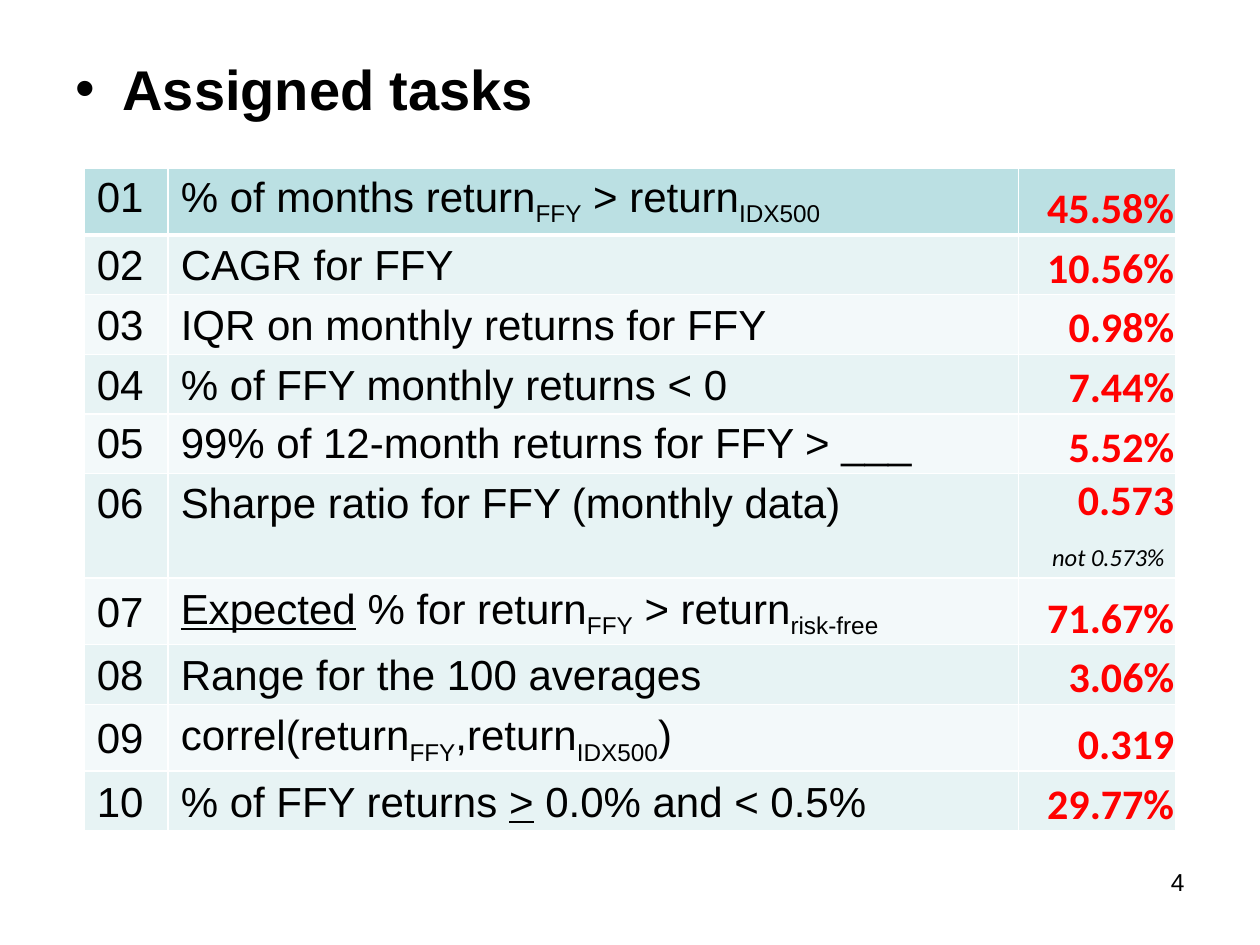
from lxml import etree
from pptx import Presentation
from pptx.dml.color import RGBColor
from pptx.enum.text import MSO_ANCHOR, PP_ALIGN
from pptx.oxml.ns import qn
from pptx.util import Cm, Pt

TOP, MIDDLE, BOTTOM = MSO_ANCHOR.TOP, MSO_ANCHOR.MIDDLE, MSO_ANCHOR.BOTTOM
RIGHT = PP_ALIGN.RIGHT

BLACK, WHITE, RED = "000000", "FFFFFF", "FF0000"
HEADER, BANDS = "BBE0E3", ("E7F3F4", "F3F9FA")
COLUMNS = (1.69, 17.14, 3.17)
ROW_HEIGHT, TALL_ROW_HEIGHT = 1.04, 2.1
TOP_ROWS = (0, 4, 5)
NOTE_ROW = 5

# Task text as (text, style) spans: "" plain, "sub" subscript, "u" underlined
FUND, INDEX = ("FFY", "sub"), ("IDX500", "sub")
TASKS = [
    ([("% of months return", ""), FUND, (" > return", ""), INDEX], "45.58%"),
    ([("CAGR for FFY", "")], "10.56%"),
    ([("IQR on monthly returns for FFY", "")], "0.98%"),
    ([("% of FFY monthly returns < 0", "")], "7.44%"),
    ([("99% of 12-month returns for FFY > ___", "")], "5.52%"),
    ([("Sharpe ratio for FFY (monthly data)", "")], "0.573"),
    ([("Expected", "u"), (" % for return", ""), FUND, (" > return", ""),
      ("risk-free", "sub")], "71.67%"),
    ([("Range for the 100 averages", "")], "3.06%"),
    ([("correl(return", ""), FUND, (",return", ""), INDEX, (")", "")], "0.319"),
    ([("% of FFY returns ", ""), (">", "u"), (" 0.0% and < 0.5%", "")], "29.77%"),
]


def color(code):
    return RGBColor.from_string(code)


def set_font(font, name, size, code, bold=False):
    font.name, font.size, font.bold = name, Pt(size), bold
    font.color.rgb = color(code)


def add_spans(para, spans):
    for text, style in spans:
        span = para.add_run()
        span.text = text
        if style == "u":
            span.font.underline = True
        elif style == "sub":
            span.font._element.set("baseline", "-25000")


def add_box(page, left, top, width, height):
    box = page.shapes.add_textbox(Cm(left), Cm(top), Cm(width), Cm(height))
    box.text_frame.word_wrap = True
    return box


def add_heading(page, left, top, width, height):
    box = add_box(page, left, top, width, height)
    box.fill.solid()
    box.fill.fore_color.rgb = color(WHITE)
    para = box.text_frame.paragraphs[0]
    para.text = "Assigned tasks"
    para.space_before = Pt(6.4)
    set_font(para.font, "Arial", 32, BLACK, True)
    # Bullet with hanging indent
    properties = para._p.get_or_add_pPr()
    properties.set("marL", str(Cm(0.95)))
    properties.set("indent", str(-Cm(0.95)))
    run_defaults = properties.find(qn("a:defRPr"))
    run_defaults.addprevious(etree.Element(qn("a:buFont"), typeface="Arial"))
    run_defaults.addprevious(etree.Element(qn("a:buChar"), char="•"))


def add_page_number(page, left, top, width, height):
    para = add_box(page, left, top, width, height).text_frame.paragraphs[0]
    para.text = "4"
    para.alignment = RIGHT
    set_font(para.font, "Arial", 14, BLACK)


def style_cell(cell, fill, top_width, bottom_width):
    properties = cell._tc.get_or_add_tcPr()
    for side, width in (("L", 1), ("R", 1), ("T", top_width), ("B", bottom_width)):
        line = etree.SubElement(properties, qn("a:ln" + side), w=str(Pt(width)))
        solid = etree.SubElement(line, qn("a:solidFill"))
        etree.SubElement(solid, qn("a:srgbClr"), val=WHITE)
    cell.fill.solid()
    cell.fill.fore_color.rgb = color(fill)


def fill_result(cell, value, has_note):
    cell.vertical_anchor = BOTTOM
    cell.margin_left = cell.margin_right = cell.margin_top = Cm(0.03)
    cell.margin_bottom = 0
    para = cell.text_frame.paragraphs[0]
    para.alignment = RIGHT
    set_font(para.font, "Calibri", 24, RED, True)
    add_spans(para, [(value, "")])
    if has_note:
        # The last space keeps the line height of the value
        para.add_line_break()
        add_spans(para, [("not 0.573%", ""), (" ", "")])
        note = para.runs[1].font
        set_font(note, "Calibri", 14, BLACK)
        note.italic = True


def add_task_table(page, left, top):
    frame = page.shapes.add_table(len(TASKS), len(COLUMNS), Cm(left), Cm(top),
                                  Cm(sum(COLUMNS)), Cm(ROW_HEIGHT * len(TASKS)))
    table = frame.table
    table.first_row = table.horz_banding = False
    for column, width in zip(table.columns, COLUMNS):
        column.width = Cm(width)
    for index, (spans, value) in enumerate(TASKS):
        row = table.rows[index]
        row.height = Cm(TALL_ROW_HEIGHT if index == NOTE_ROW else ROW_HEIGHT)
        fill = BANDS[(index - 1) % 2] if index else HEADER
        for cell in row.cells:
            style_cell(cell, fill, 3 if index == 1 else 1, 3 if index == 0 else 1)
        number, task, result = row.cells
        for cell, parts in ((number, [(f"{index + 1:02d}", "")]), (task, spans)):
            cell.vertical_anchor = TOP if index in TOP_ROWS else MIDDLE
            cell.margin_bottom = Cm(0.06)
            para = cell.text_frame.paragraphs[0]
            set_font(para.font, "Arial", 24, BLACK)
            add_spans(para, parts)
        fill_result(result, value, index == NOTE_ROW)


deck = Presentation()
deck.slide_width, deck.slide_height = Cm(25.4), Cm(19.05)
page = deck.slides.add_slide(deck.slide_layouts[6])
add_heading(page, 1.27, 0.97, 22.86, 16.19)
add_page_number(page, 18.2, 17.35, 5.93, 1.32)
add_task_table(page, 1.7, 3.39)
deck.save("out.pptx")
